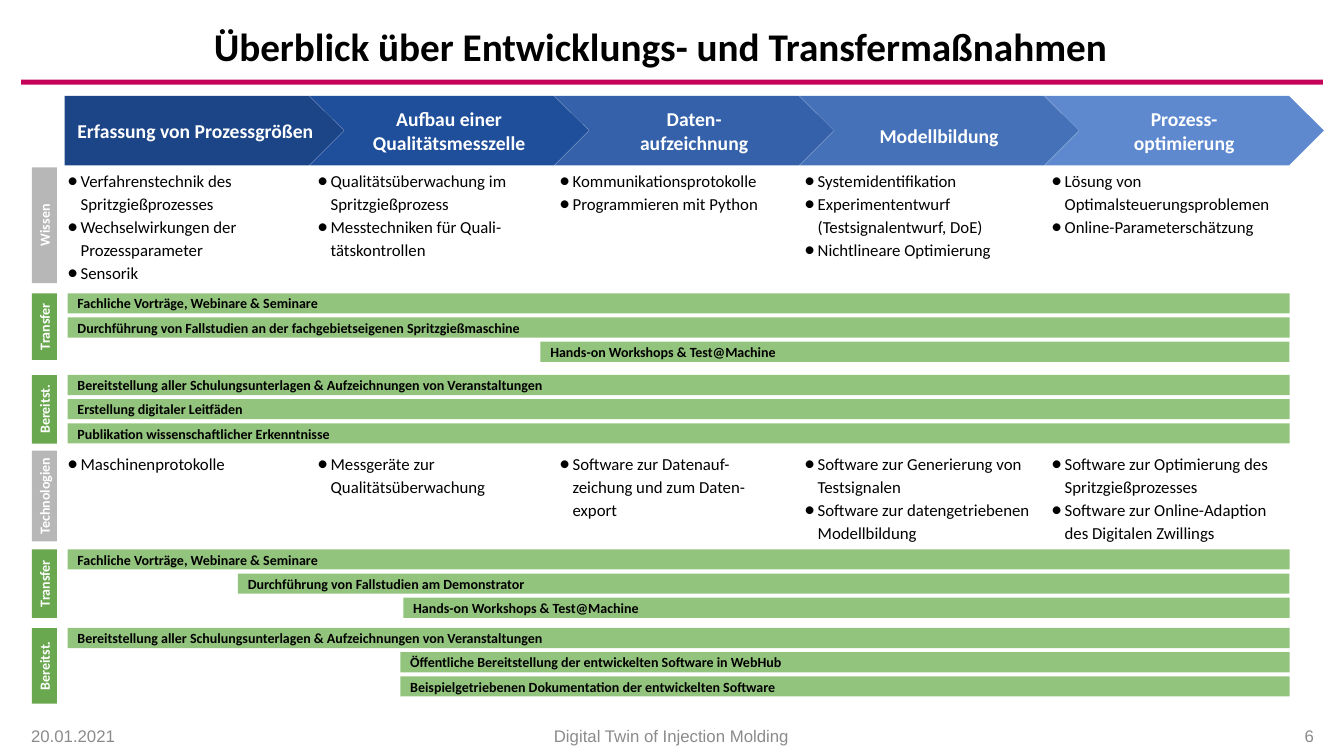
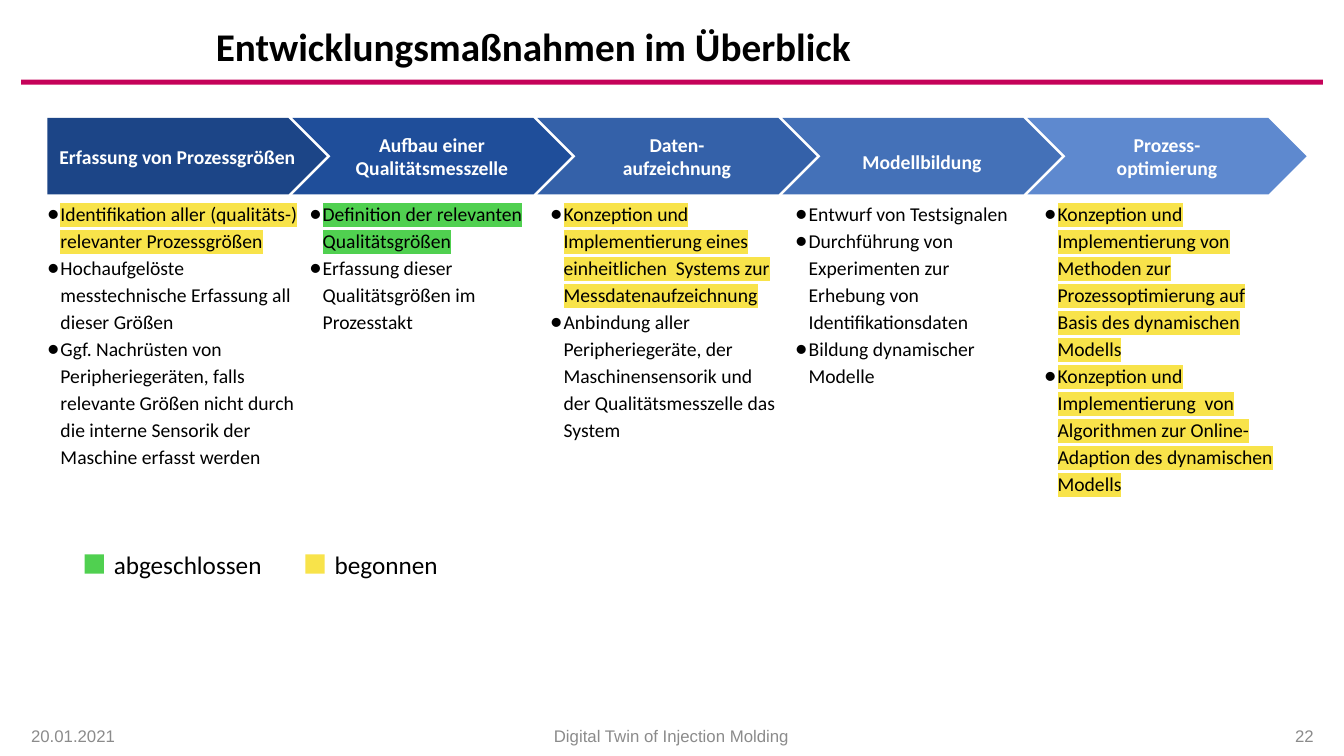
from lxml import etree
from pptx import Presentation
from pptx.dml.color import RGBColor
from pptx.enum.shapes import MSO_SHAPE
from pptx.enum.text import MSO_ANCHOR, MSO_AUTO_SIZE, PP_ALIGN
from pptx.oxml.ns import qn
from pptx.util import Inches, Pt

RECT, PENTAGON, CHEVRON = MSO_SHAPE.RECTANGLE, MSO_SHAPE.PENTAGON, MSO_SHAPE.CHEVRON
LEFT, CENTER, RIGHT = PP_ALIGN.LEFT, PP_ALIGN.CENTER, PP_ALIGN.RIGHT
TOP, MIDDLE = MSO_ANCHOR.TOP, MSO_ANCHOR.MIDDLE
NO_FIT = MSO_AUTO_SIZE.NONE

BLACK = RGBColor(0x00, 0x00, 0x00)
WHITE = RGBColor(0xFF, 0xFF, 0xFF)
MAGENTA = RGBColor(0xC5, 0x02, 0x59)
FOOTER_GRAY = RGBColor(0x8B, 0x8B, 0x8B)
LABEL_GRAY = RGBColor(0xB7, 0xB7, 0xB7)
LABEL_GREEN = RGBColor(0x6A, 0xA8, 0x4F)
BAR_GREEN = RGBColor(0x93, 0xC4, 0x7D)
DONE = RGBColor(0x50, 0xD0, 0x50)
STARTED = RGBColor(0xF8, 0xE3, 0x4A)
BLUES = [RGBColor(0x1C, 0x45, 0x87), RGBColor(0x1F, 0x4E, 0x9A), RGBColor(0x34, 0x61, 0xA9),
         RGBColor(0x44, 0x71, 0xB8), RGBColor(0x5E, 0x89, 0xCF)]

SLIDE_W, SLIDE_H = 13.33, 7.5
STEP_W, STEP_PITCH = 2.77, 2.43
BAR_H, BAR_PITCH, BAR_LEFT, BAR_RIGHT = 0.2, 0.24, 0.67, 12.79
LABEL_W, LABEL_CENTER = 0.25, 0.44
HANGING = 0.13

TITLE_FONT = {"name": "Calibri", "size": Pt(28), "bold": True}
STEP_FONT = {"name": "Calibri", "size": Pt(14), "bold": True}
BAR_FONT = {"name": "Calibri", "size": Pt(10), "bold": True}
KNOWLEDGE_FONT = {"name": "Calibri", "size": Pt(12)}
MEASURE_FONT = {"name": "Calibri", "size": Pt(14)}
LEGEND_FONT = {"name": "Calibri", "size": Pt(18)}
FOOTER_FONT = {"name": "Arial", "size": Pt(12)}

STEPS = ["Erfassung von Prozessgrößen", "Aufbau einer Qualitätsmesszelle",
         "Daten-\naufzeichnung", "Modellbildung", "Prozess-\noptimierung"]

OVERVIEW_COLUMNS = [(0.67, 2.4), (3.15, 2.34), (5.55, 2.36), (7.98, 2.38), (10.43, 2.36)]
KNOWLEDGE = [
    ["Verfahrenstechnik des Spritzgießprozesses", "Wechselwirkungen der Prozessparameter",
     "Sensorik"],
    ["Qualitätsüberwachung im Spritzgießprozess", "Messtechniken für Quali-\ntätskontrollen"],
    ["Kommunikationsprotokolle", "Programmieren mit Python"],
    ["Systemidentifikation", "Experimententwurf (Testsignalentwurf, DoE)",
     "Nichtlineare Optimierung"],
    ["Lösung von Optimalsteuerungsproblemen", "Online-Parameterschätzung"],
]
TECHNOLOGIES = [
    ["Maschinenprotokolle"],
    ["Messgeräte zur Qualitätsüberwachung"],
    ["Software zur Datenauf-\nzeichung und zum Daten-\nexport"],
    ["Software zur Generierung von Testsignalen",
     "Software zur datengetriebenen Modellbildung"],
    ["Software zur Optimierung des Spritzgießprozesses",
     "Software zur Online-Adaption des Digitalen Zwillings"],
]
BULLET_ROWS = [("Wissen", 1.66, 1.15, KNOWLEDGE), ("Technologien", 4.47, 0.9, TECHNOLOGIES)]
BAR_GROUPS = [
    ("Transfer", 2.91, 0.66, [
        (BAR_LEFT, "Fachliche Vorträge, Webinare & Seminare"),
        (BAR_LEFT, "Durchführung von Fallstudien an der fachgebietseigenen Spritzgießmaschine"),
        (5.36, "Hands-on Workshops & Test@Machine")]),
    ("Bereitst.", 3.72, 0.68, [
        (BAR_LEFT, "Bereitstellung aller Schulungsunterlagen & Aufzeichnungen von Veranstaltungen"),
        (BAR_LEFT, "Erstellung digitaler Leitfäden"),
        (BAR_LEFT, "Publikation wissenschaftlicher Erkenntnisse")]),
    ("Transfer", 5.45, 0.68, [
        (BAR_LEFT, "Fachliche Vorträge, Webinare & Seminare"),
        (2.36, "Durchführung von Fallstudien am Demonstrator"),
        (4.0, "Hands-on Workshops & Test@Machine")]),
    ("Bereitst.", 6.23, 0.75, [
        (BAR_LEFT, "Bereitstellung aller Schulungsunterlagen & Aufzeichnungen von Veranstaltungen"),
        (3.97, "Öffentliche Bereitstellung der entwickelten Software in WebHub"),
        (3.97, "Beispielgetriebenen Dokumentation der entwickelten Software")]),
]

MEASURE_COLUMNS = [(0.47, 2.55), (3.07, 2.22), (5.46, 2.26), (7.89, 2.3), (10.36, 2.3)]
MEASURES = [
    [("Identifikation aller (qualitäts-) relevanter Prozessgrößen", STARTED),
     "Hochaufgelöste messtechnische Erfassung all dieser Größen",
     "Ggf. Nachrüsten von Peripheriegeräten, falls relevante Größen nicht durch "
     "die interne Sensorik der Maschine erfasst werden"],
    [("Definition der relevanten Qualitätsgrößen", DONE),
     "Erfassung dieser  Qualitätsgrößen im Prozesstakt"],
    [("Konzeption und Implementierung eines einheitlichen  Systems zur "
      "Messdatenaufzeichnung", STARTED),
     "Anbindung aller Peripheriegeräte, der Maschinensensorik und "
     "der Qualitätsmesszelle das System"],
    ["Entwurf von Testsignalen",
     "Durchführung von Experimenten zur Erhebung von Identifikationsdaten",
     "Bildung dynamischer Modelle"],
    [("Konzeption und Implementierung von Methoden zur Prozessoptimierung auf "
      "Basis des dynamischen Modells", STARTED),
     ("Konzeption und Implementierung  von Algorithmen zur Online-\n"
      "Adaption des dynamischen Modells", STARTED)],
]
LEGEND = [(0.84, "abgeschlossen", DONE), (3.03, "begonnen", STARTED)]


def assign(target, values):
    for name, value in values.items():
        setattr(target, name, value)


def place(left, top, width, height):
    return [Inches(value) for value in (left, top, width, height)]


def add_highlight(span, color):
    fill = span.font.fill
    fill.solid()
    fill.fore_color.rgb = BLACK
    mark = etree.Element(qn("a:highlight"))
    etree.SubElement(mark, qn("a:srgbClr")).set("val", str(color))
    span.font.color.rgb = BLACK
    properties = span.font._element
    properties.find(qn("a:solidFill")).addnext(mark)


def add_bullet(para):
    para.line_spacing = 1.15
    properties = para._p.get_or_add_pPr()
    properties.set("marL", str(Inches(HANGING)))
    properties.set("indent", str(-Inches(HANGING)))
    etree.SubElement(properties, qn("a:buFont")).set("typeface", "Calibri")
    etree.SubElement(properties, qn("a:buChar")).set("char", "●")


def write(shape, items, font, color=BLACK, align=LEFT, anchor=MIDDLE,
          insets=(0.1, 0.05, 0.1, 0.05), bullets=False):
    frame = shape.text_frame
    sides = ("margin_left", "margin_top", "margin_right", "margin_bottom")
    assign(frame, dict(zip(sides, map(Inches, insets))))
    assign(frame, {"word_wrap": True, "auto_size": NO_FIT, "vertical_anchor": anchor})
    for index, item in enumerate(items):
        text, highlight = item if isinstance(item, tuple) else (item, None)
        para = frame.add_paragraph() if index else frame.paragraphs[0]
        para.alignment = align
        if bullets:
            add_bullet(para)
        for number, line in enumerate(text.split("\n")):
            if number:
                para.add_line_break()
            span = para.add_run()
            span.text = line
            assign(span.font, font)
            span.font.color.rgb = color
            if highlight is not None:
                add_highlight(span, highlight)


def add_box(page, kind, area, color):
    box = page.shapes.add_shape(kind, *place(*area))
    box.shadow.inherit = False
    box.fill.solid()
    box.fill.fore_color.rgb = color
    box.line.fill.background()
    return box


def add_text(page, area, items, font, **style):
    write(page.shapes.add_textbox(*place(*area)), items, font, **style)


def add_page(deck, title, title_left, number):
    page = deck.slides.add_slide(deck.slide_layouts[5])
    add_box(page, RECT, (0.21, 0.79, 12.91, 0.05), MAGENTA)
    heading = page.shapes.title
    names = ("left", "top", "width", "height")
    assign(heading, dict(zip(names, place(title_left, 0.21, 11.1, 0.55))))
    write(heading, [title], TITLE_FONT)
    heading.text_frame.paragraphs[0].line_spacing = 0.9
    for left, width, text, align in [(0.21, 2.13, "20.01.2021", LEFT),
                                     (2.41, 8.5, "Digital Twin of Injection Molding", CENTER),
                                     (11, 2.13, number, RIGHT)]:
        add_text(page, (left, 7.1, width, 0.39), [text], FOOTER_FONT,
                 color=FOOTER_GRAY, align=align)
    return page


def add_steps(page, left, top, height):
    for index, (text, blue) in enumerate(zip(STEPS, BLUES)):
        area = (left + index * STEP_PITCH, top, STEP_W, height)
        step = add_box(page, CHEVRON if index else PENTAGON, area, blue)
        side = 0 if index else 0.1
        upper = 0.2 if text == "Modellbildung" else 0.1
        write(step, [text], STEP_FONT, color=WHITE, align=CENTER,
              insets=(side, upper, side, 0.1))


def add_columns(page, columns, contents, top, height, font, inset):
    for (left, width), items in zip(columns, contents):
        add_text(page, (left, top, width, height), items, font, anchor=TOP,
                 insets=(0, inset, 0, inset), bullets=True)


def add_label(page, text, top, length, color):
    area = (LABEL_CENTER - length / 2, top + (length - LABEL_W) / 2, length, LABEL_W)
    label = add_box(page, RECT, area, color)
    label.rotation = 270
    write(label, [text], BAR_FONT, color=WHITE, align=CENTER, insets=(0, 0.1, 0, 0.1))


def build_overview(deck):
    page = add_page(deck, "Überblick über Entwicklungs- und Transfermaßnahmen", 2.02, "6")
    add_steps(page, 0.64, 0.95, 0.69)
    for text, top, height, contents in BULLET_ROWS:
        add_label(page, text, top, height, LABEL_GRAY)
        add_columns(page, OVERVIEW_COLUMNS, contents, top, height, KNOWLEDGE_FONT, 0)
    for text, top, height, bars in BAR_GROUPS:
        add_label(page, text, top, height, LABEL_GREEN)
        for row, (left, caption) in enumerate(bars):
            area = (left, top + row * BAR_PITCH, BAR_RIGHT - left, BAR_H)
            bar = add_box(page, RECT, area, BAR_GREEN)
            write(bar, [caption], BAR_FONT, insets=(0.1, 0.1, 0.1, 0.1))


def build_measures(deck):
    page = add_page(deck, "Entwicklungsmaßnahmen im Überblick", 2.04, "22")
    add_steps(page, 0.47, 1.17, 0.76)
    add_columns(page, MEASURE_COLUMNS, MEASURES, 1.87, 2.87, MEASURE_FONT, 0.1)
    for left, text, color in LEGEND:
        add_box(page, RECT, (left, 5.5, 0.19, 0.19), color)
        add_text(page, (left + 0.19, 5.4, 1.82, 0.4), [text], LEGEND_FONT, anchor=TOP)


def main():
    deck = Presentation()
    assign(deck, {"slide_width": Inches(SLIDE_W), "slide_height": Inches(SLIDE_H)})
    build_overview(deck)
    build_measures(deck)
    deck.save("out.pptx")


if __name__ == "__main__":
    main()
